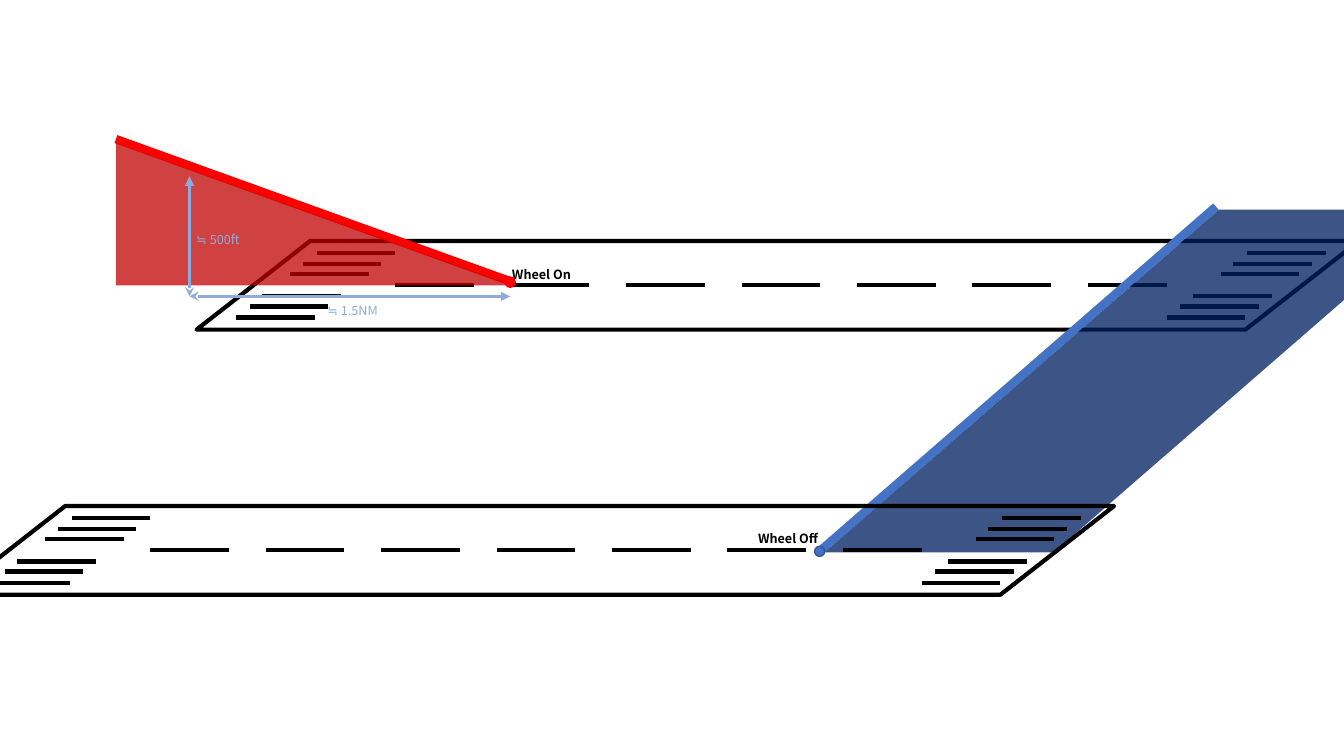
from lxml.etree import SubElement
from pptx import Presentation
from pptx.dml.color import RGBColor
from pptx.enum.shapes import MSO_CONNECTOR, MSO_SHAPE
from pptx.enum.text import MSO_AUTO_SIZE
from pptx.oxml.ns import qn
from pptx.util import Inches, Pt

FONT = "Noto Sans CJK KR"
BLACK, RED, BLUE, PALE_BLUE = "000000", "FF0000", "4472C4", "8FAADC"
STRIPE_LENGTH = 0.78
STRIPE_ROWS = (0.12, 0.23, 0.33, 0.55, 0.65, 0.76)
THRESHOLD_GAP = 9.23
DASH_COUNT, DASH_STEP = 7, 1.145


def paint(color_format, hex_color):
    color_format.rgb = RGBColor.from_string(hex_color)


def add_line(slide, start, end, color, width, arrow=False):
    line = slide.shapes.add_connector(
        MSO_CONNECTOR.STRAIGHT, *map(Inches, start + end))
    paint(line.line.color, color)
    line.line.width = Pt(width)
    properties = line._element.spPr
    if arrow:
        outline = properties.find(qn("a:ln"))
        SubElement(outline, qn("a:headEnd"), type="stealth")
        SubElement(outline, qn("a:tailEnd"), type="triangle")
    SubElement(properties, qn("a:effectLst"))


def add_figure(slide, kind, box, fill=None, alpha=None, outline=None,
               width=1, slant=None, rotation=0):
    figure = slide.shapes.add_shape(kind, *map(Inches, box))
    figure.shadow.inherit = False
    figure.rotation = rotation
    if slant is not None:
        figure.adjustments[0] = slant
    if fill:
        figure.fill.solid()
        paint(figure.fill.fore_color, fill)
    else:
        figure.fill.background()
    if alpha:
        color = figure._element.spPr.find(qn("a:solidFill"))[0]
        SubElement(color, qn("a:alpha"), val=str(alpha * 1000))
    if outline:
        paint(figure.line.color, outline)
        figure.line.width = Pt(width)
    else:
        figure.line.fill.background()


def add_label(slide, text, box, color, bold=False):
    label = slide.shapes.add_textbox(*map(Inches, box))
    frame = label.text_frame
    frame.word_wrap = False
    frame.auto_size = MSO_AUTO_SIZE.SHAPE_TO_FIT_TEXT
    run = frame.paragraphs[0].add_run()
    run.text = text
    paint(run.font.color, color)
    for name, value in {"size": Pt(9), "name": FONT, "bold": bold}.items():
        setattr(run.font, name, value)
    SubElement(run._r.rPr, qn("a:ea"), typeface=FONT)


def add_stripe(slide, left, top):
    add_line(slide, (left, top), (left + STRIPE_LENGTH, top), BLACK, 3)


def add_runway(slide, left, top):
    add_figure(slide, MSO_SHAPE.PARALLELOGRAM, (left, top, 11.53, 0.88),
               outline=BLACK, width=3, slant=1.281)
    for threshold in (0, THRESHOLD_GAP):
        for row in STRIPE_ROWS:
            add_stripe(slide, left + threshold + 1.34 - 1.25 * row, top + row)
    for dash in range(DASH_COUNT):
        add_stripe(slide, left + 1.97 + dash * DASH_STEP, top + 0.44)


def add_dot(slide, left, top, fill, outline):
    add_figure(slide, MSO_SHAPE.OVAL, (left, top, 0.1, 0.1),
               fill=fill, outline=outline)


def main():
    deck = Presentation()
    deck.slide_width, deck.slide_height = Inches(13.33), Inches(7.5)
    slide = deck.slides.add_slide(deck.slide_layouts[6])

    add_runway(slide, 1.95, 2.39)
    add_line(slide, (1.15, 1.38), (5.06, 2.79), RED, 6)
    add_line(slide, (8.15, 5.45), (12.06, 2.05), BLUE, 6)
    add_figure(slide, MSO_SHAPE.PARALLELOGRAM, (8.18, 2.08, 6.18, 3.4),
               fill="002060", alpha=76, slant=1.15, rotation=180)
    add_figure(slide, MSO_SHAPE.ISOSCELES_TRIANGLE, (1.15, 1.42, 3.92, 1.41),
               fill="C00000", alpha=74, slant=0)
    add_runway(slide, -0.48, 5.02)

    add_line(slide, (1.88, 2.94), (5.06, 2.94), PALE_BLUE, 2.25, arrow=True)
    add_label(slide, "Wheel On", (4.98, 2.6, 0.8, 0.25), BLACK, bold=True)
    add_label(slide, "Wheel Off", (7.42, 5.22, 0.82, 0.25), BLACK, bold=True)
    add_line(slide, (1.88, 2.94), (1.88, 1.75), PALE_BLUE, 2.25, arrow=True)
    add_label(slide, "≒ 1.5NM", (3.15, 2.96, 0.74, 0.25), PALE_BLUE)
    add_label(slide, "≒ 500ft", (1.85, 2.25, 0.63, 0.25), PALE_BLUE)
    add_dot(slide, 8.08, 5.42, BLUE, "325491")
    add_dot(slide, 5.01, 2.75, RED, RED)

    deck.save("out.pptx")


if __name__ == "__main__":
    main()
